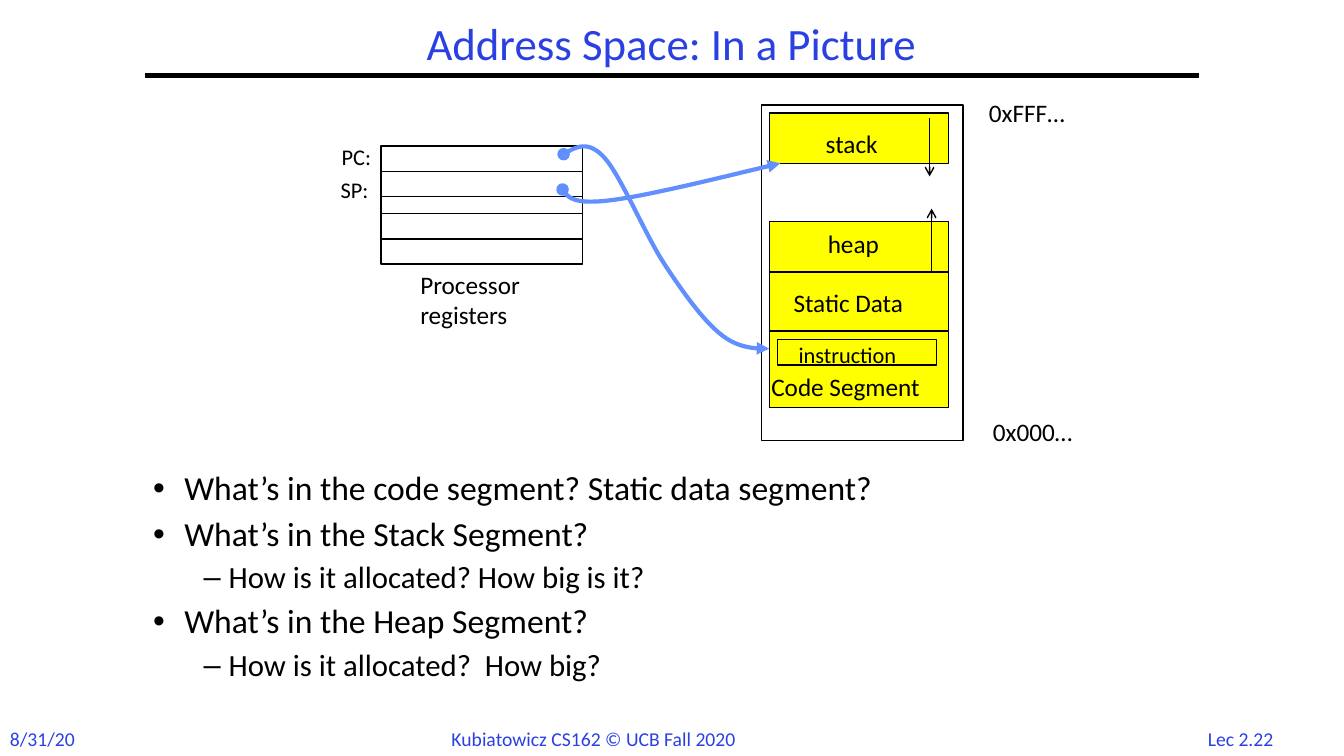
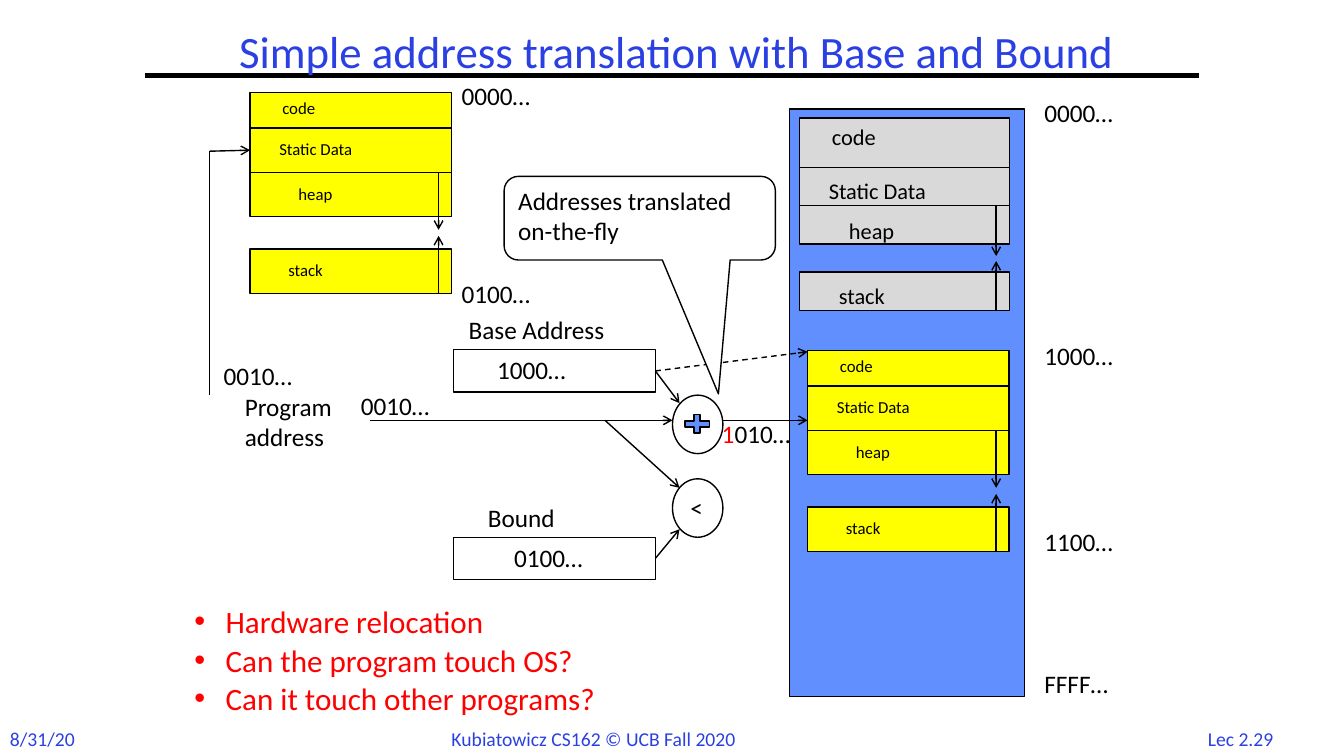
from pptx import Presentation
from pptx.dml.color import RGBColor
from pptx.enum.dml import MSO_LINE
from pptx.enum.shapes import MSO_CONNECTOR, MSO_SHAPE as Shape
from pptx.enum.text import MSO_ANCHOR as Anchor, MSO_AUTO_SIZE as Fit, PP_ALIGN as Align
from pptx.oxml.ns import qn
from pptx.util import Inches, Pt
from lxml.etree import SubElement

FONT = "Calibri"
BLACK, WHITE, RED = "000000", "FFFFFF", "FF0000"
TITLE, BLUE, YELLOW, GREY = "2A40E2", "618FFD", "FFFF00", "D9D9D9"

# Footers: text, left, width, alignment
DATE = ("8/31/20", 0, 0.85, Align.LEFT)
COURSE = ("Kubiatowicz CS162 © UCB Fall 2020", 4.38, 3.43, Align.LEFT)
PAGE = (11.82, 0.97, Align.CENTER)

# Segments: text, top, height, text inset from left and top
MEMORY = [
    ("Code Segment", 3.29, 0.75, 0.02, 0.39),
    ("Static Data", 2.7, 0.58, 0.24, 0.15),
    ("heap", 2.2, 0.5, 0.58, 0.07),
    ("stack", 1.12, 0.5, 0.56, 0.15),
]
PROGRAM = [
    ("code", 0, 0.35, 0.32, 0.05),
    ("Static Data", 0.35, 0.44, 0.29, 0.11),
    ("heap", 0.79, 0.44, 0.48, 0.11),
    ("stack", 1.55, 0.44, 0.38, 0.11),
]
SYSTEM = [
    ("code", 0, 0.49, 0.32, 0.05),
    ("Static Data", 0.49, 0.38, 0.29, 0.1),
    ("heap", 0.87, 0.38, 0.49, 0.11),
    ("stack", 1.53, 0.38, 0.39, 0.1),
]
# Growth arrows: start and end below the top of the segments
PROGRAM_GROWTH = [(1.99, 1.42), (0.79, 1.36)]
SYSTEM_GROWTH = [(1.91, 1.42), (0.87, 1.37)]

# Labels: text, left, top, width, size
SPACE_LABELS = [
    ("Processor\nregisters", 4.07, 2.62, 1.34, 18),
    ("PC:", 3.29, 1.37, 0.58, 16),
    ("SP:", 3.28, 1.7, 0.56, 16),
    ("0x000…", 9.75, 4.08, 1.14, 18),
    ("0xFFF…", 9.71, 0.92, 1.18, 18),
]
BOUND_LABELS = [
    ("0000…", 10.26, 0.92, 1.02, 18),
    ("1000…", 10.26, 3.33, 1.02, 18),
    ("1100…", 10.26, 5.17, 1, 18),
    ("FFFF…", 10.26, 6.58, 1.07, 18),
    ("0000…", 4.48, 0.75, 1.02, 18),
    ("0100…", 4.48, 2.71, 1.02, 18),
    ("Program\naddress", 2.33, 3.83, 1.17, 18),
    ("Base Address", 4.55, 3.07, 1.76, 18),
    ("Bound", 4.74, 4.93, 1.09, 18),
    ("0010…", 2.12, 3.53, 1.02, 18),
    ("0010…", 3.48, 3.82, 1.02, 18),
]
# Wires: start, end, options
WIRES = [
    ((6.5, 3.68), (8.01, 3.49), {"dash": True}),
    ((3.67, 4.17), (6.67, 4.17), {}),
    ((2.08, 1.5), (2.48, 1.49), {}),
    ((7.17, 4.17), (8.01, 4.17), {}),
    ((6.5, 3.68), (6.74, 4), {}),
    ((6, 4.17), (6.74, 4.84), {}),
    ((6.5, 5.54), (6.74, 5.25), {}),
    ((2.08, 1.5), (2.08, 3.92), {"tail": None}),
]
# Pointers: a start, then three points for each Bézier curve
POINTERS = [
    [(5.59, 1.53), (5.71, 1.46), (5.83, 1.38), (6, 1.57),
     (6.16, 1.75), (6.4, 2.33), (6.59, 2.62),
     (6.78, 2.91), (6.97, 3.17), (7.14, 3.31),
     (7.31, 3.45), (7.47, 3.46), (7.63, 3.46)],
    [(5.58, 1.88), (5.63, 1.95), (5.67, 2.03), (6.03, 1.99),
     (6.39, 1.95), (7.07, 1.78), (7.74, 1.62)],
]
# Bullets: level, text
SPACE_POINTS = [
    (0, "What’s in the code segment? Static data segment?"),
    (0, "What’s in the Stack Segment?"),
    (1, "How is it allocated? How big is it?"),
    (0, "What’s in the Heap Segment?"),
    (1, "How is it allocated?  How big?"),
]
BOUND_POINTS = [
    (0, "Hardware relocation"),
    (0, "Can the program touch OS?"),
    (0, "Can it touch other programs?"),
]
# Bullet levels: mark, left margin, hanging indent
LEVELS = [("•", 0.31, 0.31), ("–", 0.75, 0.25)]


def rgb(color):
    return RGBColor.from_string(color)


def style(font, size, color):
    for key, value in {"name": FONT, "size": Pt(size)}.items():
        setattr(font, key, value)
    font.color.rgb = rgb(color)


def write(frame, text, size, color=BLACK, align=Align.LEFT):
    frame.text = text
    for para in frame.paragraphs:
        para.alignment = align
        for run in para.runs:
            style(run.font, size, color)


def label(slide, text, left, top, width, size, color=BLACK, align=Align.LEFT):
    height = 0.1 + size * 0.017 * len(text.split("\n"))
    frame = slide.shapes.add_textbox(*map(Inches, (left, top, width, height))).text_frame
    frame.word_wrap, frame.auto_size = False, Fit.SHAPE_TO_FIT_TEXT
    write(frame, text, size, color, align)
    return frame


def box(slide, at, fill=None, text="", size=18, inset=(0.1, 0.05), kind=Shape.RECTANGLE):
    shape = slide.shapes.add_shape(kind, *map(Inches, at))
    shape.shadow.inherit = False
    if fill:
        shape.fill.solid()
        shape.fill.fore_color.rgb = rgb(fill)
    else:
        shape.fill.background()
    shape.line.color.rgb, shape.line.width = rgb(BLACK), Pt(1)
    if text:
        frame = shape.text_frame
        left, top = map(Inches, inset)
        look = {"word_wrap": True, "vertical_anchor": Anchor.TOP, "margin_left": left,
                "margin_top": top, "margin_right": 0, "margin_bottom": 0}
        for key, value in look.items():
            setattr(frame, key, value)
        write(frame, text, size)
    return shape


def stroke(shape, color, width, head=None, tail=None, dash=False):
    line = shape.line
    line.color.rgb, line.width = rgb(color), Pt(width)
    if dash:
        line.dash_style = MSO_LINE.DASH
    for tag, end in (("a:headEnd", head), ("a:tailEnd", tail)):
        if end:
            SubElement(line._get_or_add_ln(), qn(tag), type=end)


def wire(slide, start, end, width=1, tail="arrow", dash=False):
    link = slide.shapes.add_connector(MSO_CONNECTOR.STRAIGHT, *map(Inches, start + end))
    stroke(link, BLACK, width, tail=tail, dash=dash)
    SubElement(link._element.spPr, qn("a:effectLst"))


def curve(slide, points, steps=16):
    """Draw joined Bézier curves as one open outline."""
    dots = []
    for i in range(0, len(points) - 1, 3):
        for n in range(1, steps + 1):
            t = n / steps
            u = 1 - t
            parts = (u ** 3, 3 * u * u * t, 3 * u * t * t, t ** 3)
            dots.append(tuple(
                Inches(sum(k * p[axis] for k, p in zip(parts, points[i:i + 4])))
                for axis in (0, 1)))
    maker = slide.shapes.build_freeform(*map(Inches, points[0]))
    maker.add_line_segments(dots, close=False)
    shape = maker.convert_to_shape()
    shape.shadow.inherit = False
    shape.fill.background()
    stroke(shape, BLUE, 3, "oval", "triangle")


def segments(slide, rows, left, top, width, fill, size, growth=()):
    for text, down, height, *inset in rows:
        box(slide, (left, top + down, width, height), fill, text, size, inset)
    for start, end in growth:
        x = left + width - 0.13
        wire(slide, (x, top + start), (x, top + end))


def bullets(slide, points, at, sizes, spacing, color=BLACK):
    frame = slide.shapes.add_textbox(*map(Inches, at)).text_frame
    frame.word_wrap = True
    for i, (level, text) in enumerate(points):
        para = frame.add_paragraph() if i else frame.paragraphs[0]
        mark, margin, hang = LEVELS[level]
        props = para._p.get_or_add_pPr()
        props.set("marL", str(Inches(margin)))
        props.set("indent", str(-Inches(hang)))
        para.line_spacing = spacing
        para.space_before = Pt(sizes[level] * 0.28 if i else 0)
        SubElement(props, qn("a:buFont"), typeface="Arial")
        SubElement(props, qn("a:buChar"), char=mark)
        run = para.add_run()
        run.text = text
        style(run.font, sizes[level], color)


def page(deck, title, at, number):
    slide = deck.slides.add_slide(deck.slide_layouts[6])
    for text, left, width, align in (DATE, COURSE, (number, *PAGE)):
        label(slide, text, left, 7.16, width, 14, TITLE, align)
    wire(slide, (1.44, 0.75), (11.89, 0.75), 3, None)
    frame = slide.shapes.add_textbox(*map(Inches, at)).text_frame
    frame.word_wrap, frame.vertical_anchor = True, Anchor.MIDDLE
    write(frame, title, 32, TITLE, Align.CENTER)
    frame.paragraphs[0].line_spacing = 0.9
    return slide


def space(deck):
    slide = page(deck, "Address Space: In a Picture", (1.44, 0.17, 10.44, 0.58), "Lec 2.22")
    for top, height in ((1.45, 1.17), (1.7, 0.25), (2.12, 0.25)):
        box(slide, (3.78, top, 2, height))
    box(slide, (7.55, 1.04, 2, 3.33))
    segments(slide, MEMORY, 7.63, 0, 1.78, YELLOW, 18)
    wire(slide, (9.24, 2.7), (9.24, 2.07))
    wire(slide, (9.22, 1.17), (9.22, 1.75))
    box(slide, (7.71, 3.37, 1.58, 0.25), None, "instruction", 16, (0.21, 0.01))
    for item in SPACE_LABELS:
        label(slide, *item)
    bullets(slide, SPACE_POINTS, (1.42, 4.63, 10.02, 2.62), (24, 22), 0.9)
    for points in POINTERS:
        curve(slide, points)


def bound(deck):
    slide = page(deck, "Simple address translation with Base and Bound",
                 (1.67, 0.25, 10.08, 0.58), "Lec 2.29")
    box(slide, (7.83, 1.08, 2.33, 5.83), BLUE)
    segments(slide, SYSTEM, 7.93, 1.17, 2.08, GREY, 16, SYSTEM_GROWTH)
    for left, top in ((8.01, 3.48), (2.48, 0.92)):
        segments(slide, PROGRAM, left, top, 2, YELLOW, 12, PROGRAM_GROWTH)
    box(slide, (4.5, 3.47, 2, 0.42), None, "1000…", inset=(0.43, 0.05))
    box(slide, (4.5, 5.33, 2, 0.42), None, "0100…", inset=(0.6, 0.05))
    box(slide, (6.75, 4.08, 0.33, 0.25), BLUE, kind=Shape.MATH_PLUS)
    for top in (3.92, 4.75):
        box(slide, (6.67, top, 0.5, 0.58), kind=Shape.OVAL)
    label(slide, "<", 6.75, 4.83, 0.35, 18)
    for start, end, options in WIRES:
        wire(slide, start, end, **options)
    for item in BOUND_LABELS:
        label(slide, *item)
    bullets(slide, BOUND_POINTS, (1.83, 6, 5.83, 1.25), (22.2,), 0.8, RED)
    note = box(slide, (5, 1.75, 2.69, 0.83), WHITE, "Addresses translated\non-the-fly",
               kind=Shape.ROUNDED_RECTANGULAR_CALLOUT)
    for i, value in enumerate((0.29, 2.1, 0.17)):
        note.adjustments[i] = value
    sum_text = label(slide, "1", 7.06, 4.1, 1.02, 18, RED)
    rest = sum_text.paragraphs[0].add_run()
    rest.text = "010…"
    style(rest.font, 18, BLACK)


def main():
    deck = Presentation()
    deck.slide_width, deck.slide_height = Inches(13.33), Inches(7.5)
    space(deck)
    bound(deck)
    deck.save("out.pptx")


if __name__ == "__main__":
    main()
